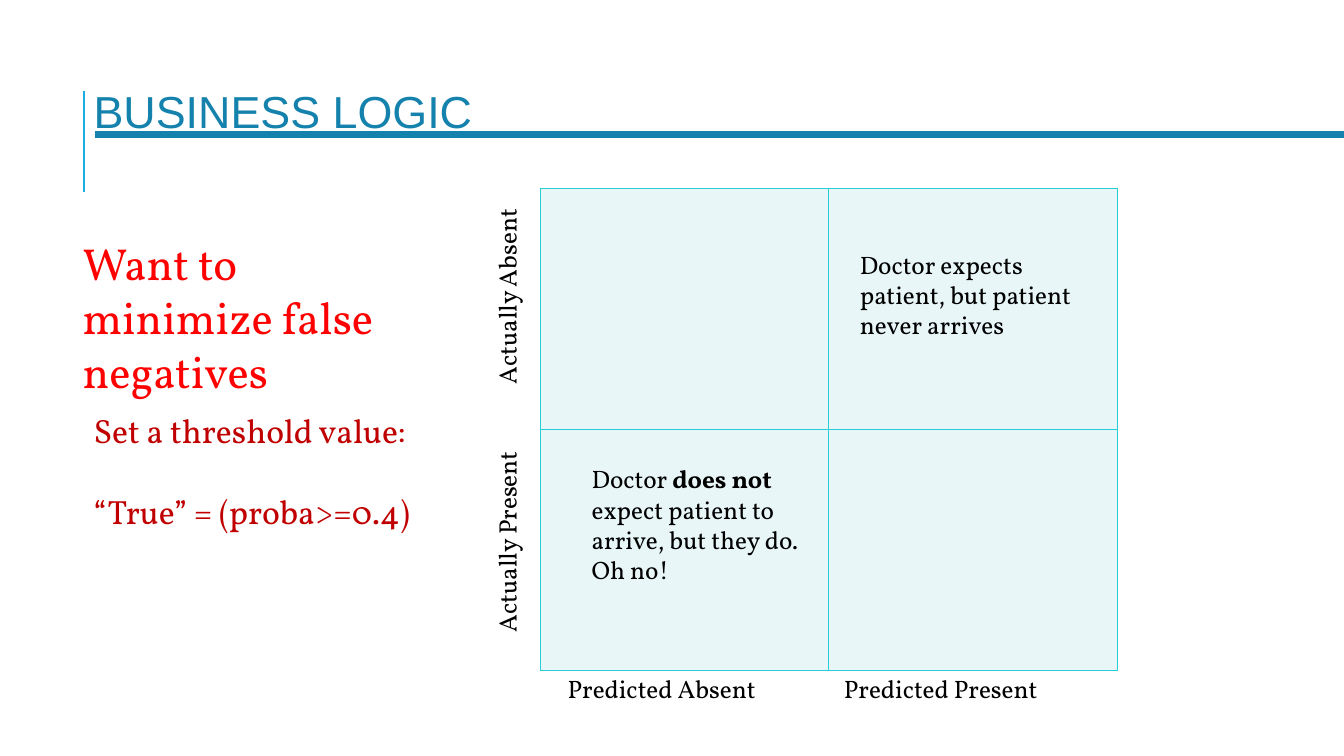
from lxml.etree import SubElement
from pptx import Presentation
from pptx.dml.color import RGBColor
from pptx.enum.shapes import MSO_CONNECTOR as Connector
from pptx.oxml.ns import qn
from pptx.util import Inches, Pt

BLUE = RGBColor(0x14, 0x82, 0xAC)
SKY = RGBColor(0x1C, 0xAD, 0xE4)
TURQUOISE = RGBColor(0x27, 0xCE, 0xD7)
PALE = RGBColor(0xE8, 0xF6, 0xF8)
RED = RGBColor(0xFF, 0x00, 0x00)
DARK_RED = RGBColor(0xC0, 0x00, 0x00)
BLACK = RGBColor(0x00, 0x00, 0x00)
BODY_FONT = "Vollkorn"

WIDTH, HEIGHT = 13.33, 7.5
MATRIX_LEFT, MATRIX_TOP = 5.36, 1.87
CELL_WIDTH, CELL_HEIGHT = 2.86, 2.39
LABEL_WIDTH, LABEL_HEIGHT = 2.54, 0.5
COLUMN_LABEL_LEFT, COLUMN_LABEL_TOP, COLUMN_LABEL_STEP = 5.48, 6.66, 2.74
ROW_LABEL_LEFT, ROW_LABEL_TOP, ROW_LABEL_STEP = 3.84, 2.44, 2.46

COLUMN_LABELS = ["Predicted Absent", "Predicted Present"]
ROW_LABELS = ["Actually Absent", "Actually Present"]

TEXTS = [
    ((0.83, 0.78, 11.29, 0.64), [[("BUSINESS LOGIC", False)]], 32, BLUE, "Arial"),
    ((5.77, 4.55, 2.56, 1.31),
     [[("Doctor ", False), ("does not ", True),
       ("expect patient to arrive, but they do. Oh no!", False)]], 18, BLACK, BODY_FONT),
    ((8.43, 2.42, 2.56, 1.01),
     [[("Doctor expects patient, but patient never arrives", False)]], 18, BLACK, BODY_FONT),
    ((0.72, 2.29, 3.52, 1.72),
     [[("Want to minimize false negatives", False)]], 32, RED, BODY_FONT),
    ((0.83, 4.02, 3.62, 1.31),
     [[("Set a threshold value:", False)], [("“True” = (proba>=0.4)", False)]],
     24, DARK_RED, BODY_FONT),
]
LINES = [
    ((0.83, 1.9, 0.83, 0.9), SKY, 1.5),
    ((0.94, 1.33, WIDTH, 1.33), BLUE, 5),
]


def add_line(slide, ends, color, weight):
    line = slide.shapes.add_connector(Connector.STRAIGHT, *map(Inches, ends))
    line.line.color.rgb = color
    line.line.width = Pt(weight)
    SubElement(line._element.spPr, qn("a:effectLst"))


def add_text(slide, box, paragraphs, size, color, font):
    shape = slide.shapes.add_textbox(*map(Inches, box))
    frame = shape.text_frame
    frame.word_wrap = True
    for index, runs in enumerate(paragraphs):
        paragraph = frame.add_paragraph() if index else frame.paragraphs[0]
        paragraph.font.size = Pt(size)
        paragraph.font.color.rgb = color
        paragraph.font.name = font
        if index:
            paragraph.space_before = Pt(size * 1.2)
        for text, bold in runs:
            run = paragraph.add_run()
            run.text = text
            if bold:
                run.font.bold = True
    return shape


def add_label(slide, left, top, text, rotation):
    box = (left, top, LABEL_WIDTH, LABEL_HEIGHT)
    shape = add_text(slide, box, [[(text, False)]], 18, BLACK, BODY_FONT)
    shape.rotation = rotation
    frame = shape.text_frame
    frame.margin_left = Inches(0.15)
    frame.margin_right = Inches(0.05)
    paragraph = frame.paragraphs[0]
    paragraph.line_spacing = 0.9
    paragraph.space_before = Pt(12)
    paragraph.space_after = Pt(2)


def style_cell(cell):
    properties = cell._tc.get_or_add_tcPr()
    for side in ("a:lnL", "a:lnR", "a:lnT", "a:lnB"):
        border = SubElement(properties, qn(side), w=str(Pt(1)))
        fill = SubElement(border, qn("a:solidFill"))
        SubElement(fill, qn("a:srgbClr"), val=str(TURQUOISE))
    cell.fill.solid()
    cell.fill.fore_color.rgb = PALE


def add_matrix(slide):
    rows, columns = len(ROW_LABELS), len(COLUMN_LABELS)
    box = (MATRIX_LEFT, MATRIX_TOP, columns * CELL_WIDTH, rows * CELL_HEIGHT)
    table = slide.shapes.add_table(rows, columns, *map(Inches, box)).table
    table.first_row = False
    table.horz_banding = False
    for cell in table.iter_cells():
        style_cell(cell)


def main():
    presentation = Presentation()
    presentation.slide_width = Inches(WIDTH)
    presentation.slide_height = Inches(HEIGHT)
    slide = presentation.slides.add_slide(presentation.slide_layouts[6])
    for line in LINES:
        add_line(slide, *line)
    add_matrix(slide)
    for row, text in enumerate(ROW_LABELS):
        add_label(slide, ROW_LABEL_LEFT, ROW_LABEL_TOP + row * ROW_LABEL_STEP, text, 270)
    for column, text in enumerate(COLUMN_LABELS):
        add_label(slide, COLUMN_LABEL_LEFT + column * COLUMN_LABEL_STEP, COLUMN_LABEL_TOP, text, 0)
    for text in TEXTS:
        add_text(slide, *text)
    presentation.save("out.pptx")


if __name__ == "__main__":
    main()
